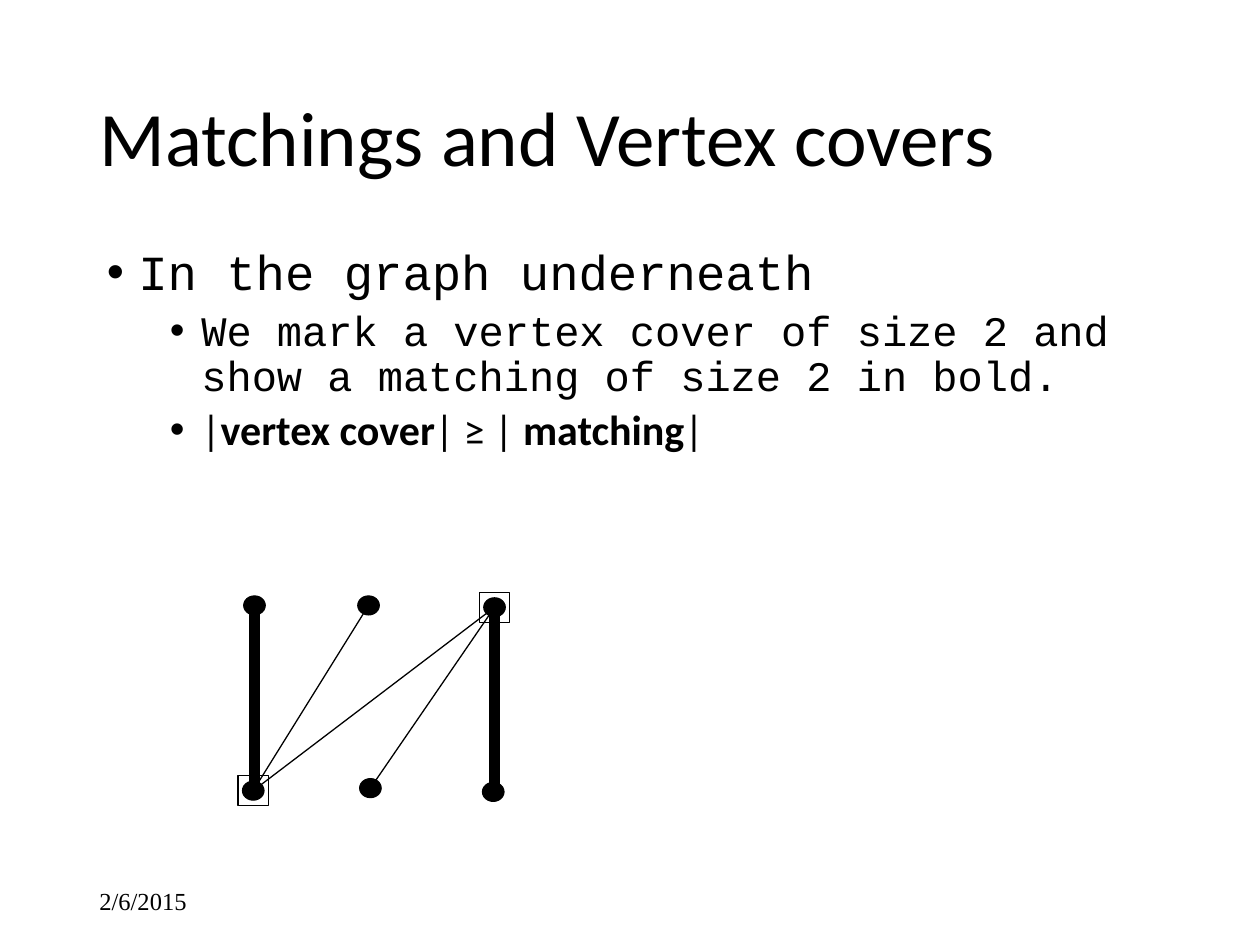
from typing import NamedTuple

from lxml import etree
from pptx import Presentation, util as u
from pptx.dml.color import RGBColor
from pptx.enum import shapes, text
from pptx.oxml import ns

COLS, ROWS = 100, 75
WIDE, HIGH = u.Inches(10), u.Inches(7.5)
HEX = {"ink": "000000"}
INK = RGBColor.from_string(HEX["ink"])


class Box(NamedTuple):
    col: float
    row: float
    cols: float
    rows: float


class Node(NamedTuple):
    col: float
    row: float
    cover: bool = False


class Edge(NamedTuple):
    start: str
    end: str
    match: bool = False


class Item(NamedTuple):
    words: tuple[str, ...]  # every second entry is bold
    level: int
    size: int
    face: str
    gap: int


NODES = {
    "a": Node(20.2, 48.05), "b": Node(29.25, 48.05), "c": Node(39.25, 48.2, True),
    "d": Node(20.1, 62.75, True), "e": Node(29.4, 62.55), "f": Node(39.15, 62.85),
}
EDGES = [
    Edge("a", "d", True), Edge("c", "f", True),
    Edge("b", "d"), Edge("d", "c"), Edge("c", "e"),
]
ITEMS = [
    Item(("In the graph underneath",), 0, 28, "Courier New", 0),
    Item(("We mark a vertex cover of size 2 and show a matching of size 2 in bold.",),
         1, 24, "Courier New", 5),
    Item(("|", "vertex cover", "| ≥ | ", "matching", "|"), 1, 24, "Calibri", 5),
]


def across(cols: float) -> int:
    return round(WIDE * cols / COLS)


def down(rows: float) -> int:
    return round(HIGH * rows / ROWS)


def place(box: Box) -> tuple[int, int, int, int]:
    return across(box.col), down(box.row), across(box.cols), down(box.rows)


def style(para, size: int, face: str) -> None:
    font = para.font
    font.size, font.name, font.color.rgb = u.Pt(size), face, INK


def add_text(slide, box: Box, anchor):
    frame = slide.shapes.add_textbox(*place(box)).text_frame
    frame.word_wrap, frame.vertical_anchor = True, anchor
    return frame


def add_item(para, item: Item) -> None:
    para.level = item.level
    para.line_spacing, para.space_before = 0.9, u.Pt(item.gap)
    props = para._p.get_or_add_pPr()
    props.set("marL", str(across(2.5 + 5 * item.level)))
    props.set("indent", str(-across(2.5)))
    etree.SubElement(props, ns.qn("a:buFont"), typeface="Arial")
    etree.SubElement(props, ns.qn("a:buChar"), char="•")
    style(para, item.size, item.face)
    for i, word in enumerate(item.words):
        run = para.add_run()
        run.text, run.font.bold = word, i % 2 == 1


def add_mark(slide, kind, node: Node, cols: float, rows: float, solid: bool) -> None:
    box = Box(node.col - cols / 2, node.row - rows / 2, cols, rows)
    mark = slide.shapes.add_shape(kind, *place(box))
    mark.shadow.inherit = False
    mark.line.color.rgb, mark.line.width = INK, u.Pt(0.75)
    if solid:
        mark.fill.solid()
        mark.fill.fore_color.rgb = INK
    else:
        mark.fill.background()


def add_edge(slide, edge: Edge) -> None:
    """Join two nodes; a matching edge is thick and strictly vertical."""
    start, end = NODES[edge.start], NODES[edge.end]
    col, inset = (start.col, 0.4) if edge.match else (end.col, 0)
    line = slide.shapes.add_connector(
        shapes.MSO_CONNECTOR.STRAIGHT,
        across(start.col), down(start.row + inset), across(col), down(end.row - inset))
    line.line.color.rgb, line.line.width = INK, u.Pt(6 if edge.match else 0.75)
    etree.SubElement(line._element.spPr, ns.qn("a:effectLst"))


def main() -> None:
    deck = Presentation()
    deck.slide_width, deck.slide_height = WIDE, HIGH
    slide = deck.slides.add_slide(deck.slide_layouts[5])

    title = slide.shapes.title
    title.left, title.top, title.width, title.height = place(Box(6.9, 4, 86.2, 14.5))
    title.text_frame.vertical_anchor = text.MSO_ANCHOR.MIDDLE
    title.text_frame.text = "Matchings and Vertex covers"
    head = title.text_frame.paragraphs[0]
    head.alignment, head.line_spacing = text.PP_ALIGN.LEFT, 0.9
    style(head, 44, "Calibri")

    date = add_text(slide, Box(6.9, 69.5, 22.5, 4), text.MSO_ANCHOR.MIDDLE)
    date.text = "2/6/2015"
    style(date.paragraphs[0], 14, "Times New Roman")

    body = add_text(slide, Box(7.5, 19.2, 85, 22.9), text.MSO_ANCHOR.TOP)
    for i, item in enumerate(ITEMS):
        add_item(body.add_paragraph() if i else body.paragraphs[0], item)

    for node in NODES.values():
        add_mark(slide, shapes.MSO_SHAPE.OVAL, node, 1.7, 1.5, True)
        if node.cover:
            add_mark(slide, shapes.MSO_SHAPE.RECTANGLE, node, 2.4, 2.4, False)
    for edge in EDGES:
        add_edge(slide, edge)

    deck.save("out.pptx")


if __name__ == "__main__":
    main()
